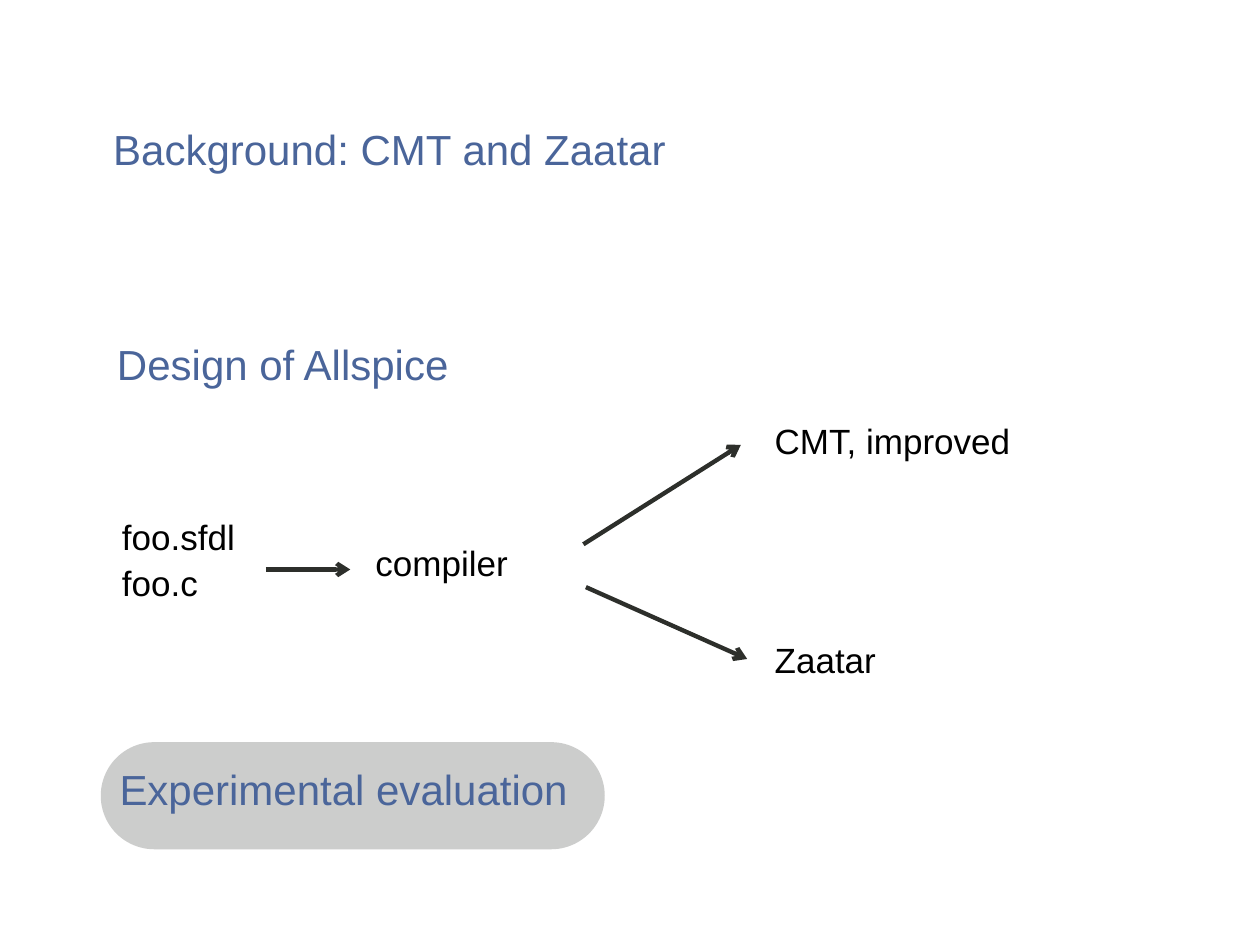
"""Build the outline slide with the Allspice compiler diagram."""
from typing import NamedTuple

from lxml import etree
from pptx import Presentation
from pptx import util as u
from pptx.dml.color import RGBColor
from pptx.enum import shapes, text
from pptx.oxml import ns

HEADING_BLUE = RGBColor(0x4A, 0x65, 0x9A)
DARK = RGBColor(0x2D, 0x2F, 0x2B)
BLACK = RGBColor(0, 0, 0)

HEADING_FORMAT = {"name": "Arial", "size": u.Pt(24)}
LABEL_FORMAT = {"name": "Arial", "size": u.Pt(20)}


class Label(NamedTuple):
    wording: str
    left: float
    top: float
    width: float
    align: text.PP_ALIGN = text.PP_ALIGN.LEFT


class Arrow(NamedTuple):
    start: tuple[float, float]
    end: tuple[float, float]


HEADINGS = [
    Label("Background: CMT and Zaatar", 0.8, 0.93, 5.01),
    Label("Design of Allspice", 0.83, 2.64, 3.71),
    Label("Experimental evaluation", 0.85, 6.01, 4.52),
]
DIAGRAM_LABELS = [
    Label("foo.sfdl", 0.87, 4.04, 1.43),
    Label("foo.c", 0.87, 4.41, 1.1),
    Label("compiler", 2.59, 4.25, 1.83, text.PP_ALIGN.CENTER),
    Label("CMT, improved", 6.05, 3.28, 3.07),
    Label("Zaatar", 6.05, 5.02, 1.29),
]
ARROWS = [
    Arrow((2.11, 4.52), (2.78, 4.52)),
    Arrow((4.63, 4.32), (5.88, 3.53)),
    Arrow((4.65, 4.66), (5.93, 5.23)),
]


def add_highlight(slide) -> None:
    """Draw the translucent pill behind the current topic."""
    pill = slide.shapes.add_shape(
        shapes.MSO_SHAPE.ROUNDED_RECTANGLE,
        u.Inches(0.8), u.Inches(5.89), u.Inches(4), u.Inches(0.85))
    pill.adjustments[0] = 0.5
    pill.shadow.inherit = False
    pill.fill.solid()
    pill.fill.fore_color.rgb = DARK
    pill.line.fill.background()
    color = pill.fill._xPr.find(".//" + ns.qn("a:srgbClr"))
    etree.SubElement(color, ns.qn("a:alpha"), val="24000")


def add_label(slide, label: Label, height: float, formats: dict, color: RGBColor) -> None:
    """Add one line of text in the given font format."""
    box = slide.shapes.add_textbox(
        u.Inches(label.left), u.Inches(label.top), u.Inches(label.width), u.Inches(height))
    frame = box.text_frame
    frame.word_wrap = True
    frame.auto_size = text.MSO_AUTO_SIZE.SHAPE_TO_FIT_TEXT
    paragraph = frame.paragraphs[0]
    paragraph.alignment = label.align
    run = paragraph.add_run()
    run.text = label.wording
    for attribute, value in formats.items():
        setattr(run.font, attribute, value)
    run.font.color.rgb = color


def add_arrow(slide, arrow: Arrow) -> None:
    """Draw a straight line with an open arrowhead at its end."""
    points = [u.Inches(length) for length in (*arrow.start, *arrow.end)]
    connector = slide.shapes.add_connector(shapes.MSO_CONNECTOR.STRAIGHT, *points)
    connector.line.color.rgb = DARK
    connector.line.width = u.Pt(2.5)
    etree.SubElement(connector.line._get_or_add_ln(), ns.qn("a:tailEnd"), type="arrow")
    etree.SubElement(connector._element.spPr, ns.qn("a:effectLst"))


def main() -> None:
    """Assemble and save the slide."""
    deck = Presentation()
    deck.slide_width, deck.slide_height = u.Inches(10), u.Inches(7.5)
    slide = deck.slides.add_slide(deck.slide_layouts[6])
    add_highlight(slide)
    for heading in HEADINGS:
        add_label(slide, heading, 0.5, HEADING_FORMAT, HEADING_BLUE)
    for label in DIAGRAM_LABELS:
        add_label(slide, label, 0.44, LABEL_FORMAT, BLACK)
    for arrow in ARROWS:
        add_arrow(slide, arrow)
    deck.save("out.pptx")


if __name__ == "__main__":
    main()
